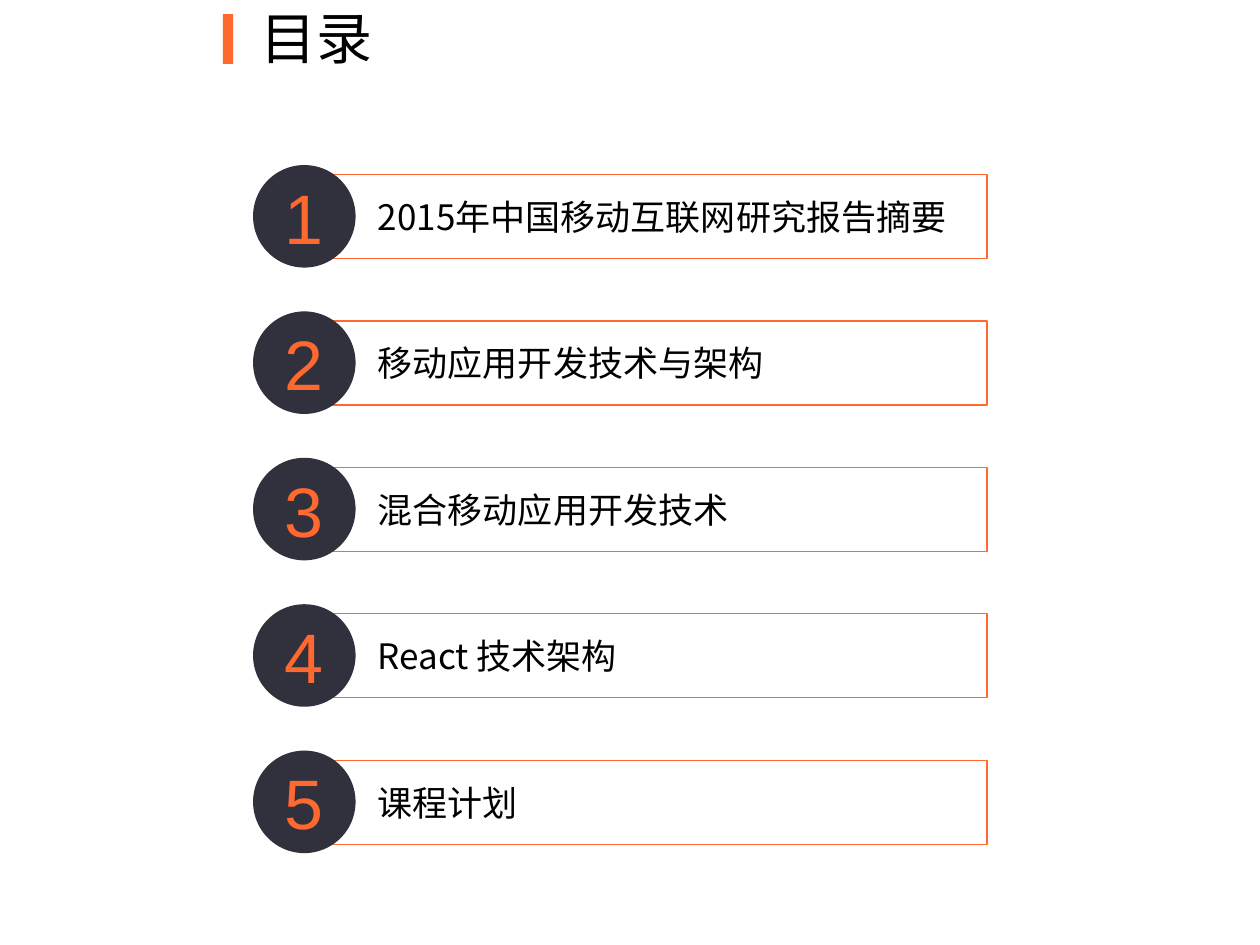
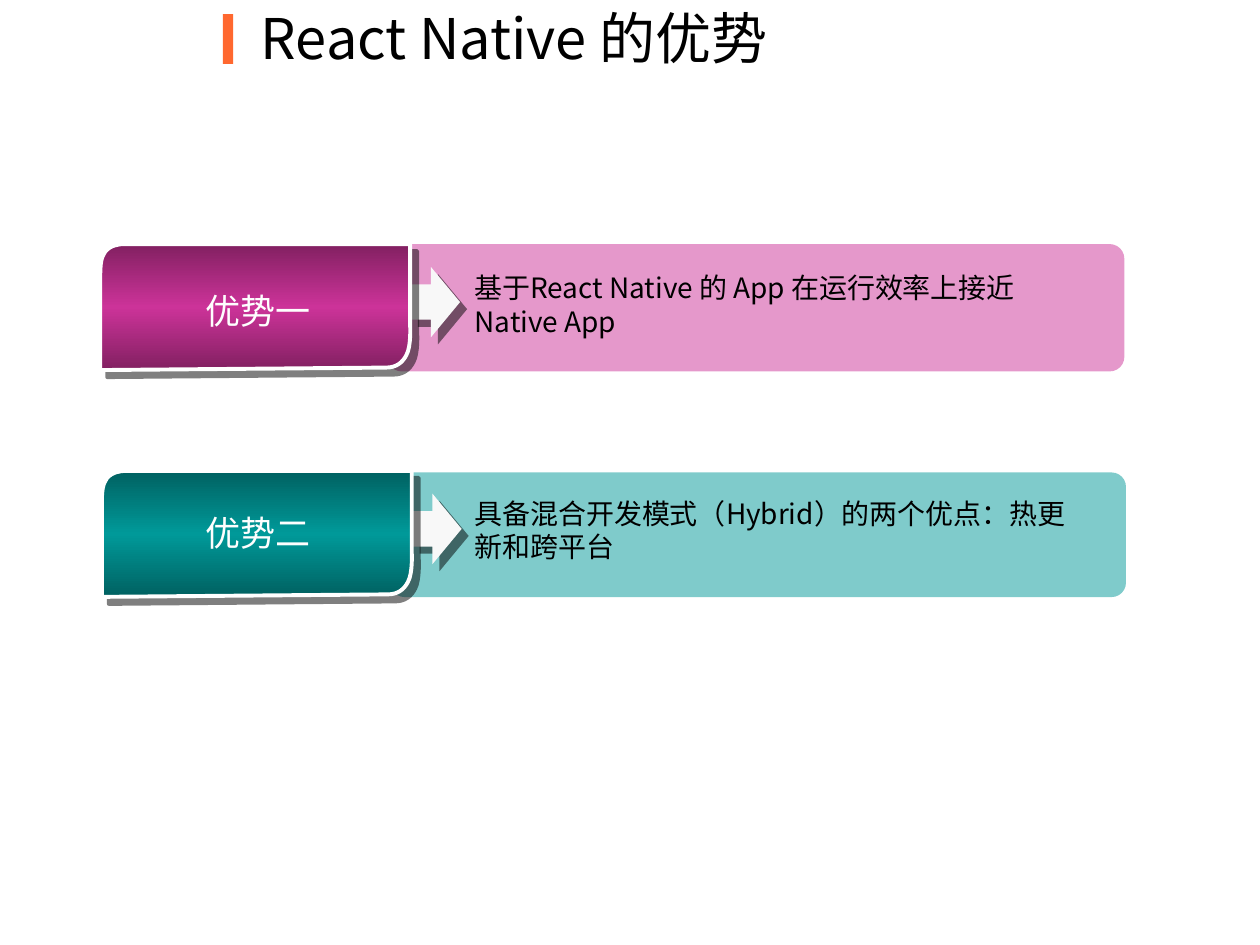
from copy import deepcopy

from lxml.etree import SubElement
from pptx import Presentation
from pptx.dml.color import RGBColor
from pptx.enum.shapes import MSO_SHAPE
from pptx.enum.text import MSO_ANCHOR, PP_ALIGN
from pptx.oxml.ns import qn
from pptx.util import Pt

ORANGE, DARK, BLACK, WHITE = "FF682F", "30313C", "000000", "FFFFFF"
CJK = "Noto Sans CJK SC"
color = RGBColor.from_string


def paint(shape, fill=None, opacity=100, line=None, line_width=0.75, shadow=None):
    """Set fill, outline and shadow; without a fill colour the fill stays as it is."""
    shape.shadow.inherit = False
    if fill:
        shape.fill.solid()
        shape.fill.fore_color.rgb = color(fill)
        if opacity < 100:
            srgb = shape._element.spPr.find(qn("a:solidFill"))[0]
            SubElement(srgb, qn("a:alpha"), val=str(opacity * 1000))
    if line:
        shape.line.color.rgb = color(line)
        shape.line.width = Pt(line_width)
    else:
        shape.line.fill.background()
    if shadow:
        effects = shape._element.spPr.find(qn("a:effectLst"))
        outer = SubElement(effects, qn("a:outerShdw"), blurRad="0", dist=str(Pt(5.7)),
                           dir="2700000", algn="ctr", rotWithShape="0")
        srgb = SubElement(outer, qn("a:srgbClr"), val=shadow)
        SubElement(srgb, qn("a:alpha"), val="50000")


def write(shape, text, size, ink=BLACK, font=CJK, align=PP_ALIGN.LEFT,
          anchor=MSO_ANCHOR.TOP):
    frame = shape.text_frame
    frame.text = text
    frame.word_wrap = True
    frame.vertical_anchor = anchor
    paragraph = frame.paragraphs[0]
    paragraph.alignment = align
    run = paragraph.runs[0]
    run.font.size = Pt(size)
    run.font.name = font
    run.font.color.rgb = color(ink)
    SubElement(run._r.get_or_add_rPr(), qn("a:ea"), typeface=font)


deck = Presentation()
deck.slide_width, deck.slide_height = Pt(720), Pt(540)

# Title and orange marker on every slide
for title, title_width in (("目录", 108), ("React Native 的优势", 541.4)):
    slide = deck.slides.add_slide(deck.slide_layouts[6])
    marker = slide.shapes.add_shape(MSO_SHAPE.RECTANGLE, Pt(127.4), Pt(8.1), Pt(5.8), Pt(28.4))
    paint(marker, ORANGE)
    heading = slide.shapes.add_textbox(Pt(142), Pt(-1.5), Pt(title_width), Pt(46))
    write(heading, title, 32)

contents, advantages = (slide.shapes for slide in deck.slides)

# Contents: a numbered disc over each chapter box
chapters = ("2015年中国移动互联网研究报告摘要", "移动应用开发技术与架构",
            "混合移动应用开发技术", "React 技术架构", "课程计划")
for number, chapter in enumerate(chapters, 1):
    top = 94.3 + (number - 1) * 83.65
    entry = contents.add_group_shape().shapes
    box = entry.add_shape(MSO_SHAPE.RECTANGLE, Pt(159.6), Pt(top + 5.5), Pt(404.4), Pt(48))
    paint(box, WHITE, opacity=40, line=ORANGE)
    write(box, chapter, 20, anchor=MSO_ANCHOR.MIDDLE)
    box.text_frame.paragraphs[0].line_spacing = 0.9
    box.text_frame.margin_left, box.text_frame.margin_right = Pt(56.3), Pt(5.8)
    box.text_frame.margin_top, box.text_frame.margin_bottom = Pt(8.6), Pt(5.8)

    disc = entry.add_shape(MSO_SHAPE.OVAL, Pt(144.6), Pt(top), Pt(58.6), Pt(58.6))
    paint(disc, DARK)
    write(disc, str(number), 40, ORANGE, "Arial", PP_ALIGN.CENTER, MSO_ANCHOR.MIDDLE)

# Advantages: outline of a tab as Bézier curves (control, control, end), from its top left
TAB_START = (13.7, 0)
TAB_CURVES = (
    ((13.7, 0), (177.1, 0), (177.1, 0)),
    ((177.1, 0), (177.1, 23.3), (177.1, 46.6)),
    ((177.1, 46.6), (177.8, 58.3), (175, 63.4)),
    ((172.8, 67.7), (169.2, 70.6), (163.4, 70.6)),
    ((80.6, 71.3), (0, 72), (0, 72)),
    ((0, 72), (0, 20.9), (0, 20.9)),
    ((0, 9.4), (0.7, 7.9), (2.9, 4.3)),
    ((5.8, 0.7), (10.8, 0), TAB_START),
)

# label, description, hue, shade, tab left and top, panel box, label top, description top
rows = (
    ("优势一", "基于React Native 的 App 在运行效率上接近Native App", "CC3399", "822061",
     (57.3, 139.5), (221.3, 139.5, 421.2, 72.8), 162, 151.2),
    ("优势二", "具备混合开发模式（Hybrid）的两个优点：热更新和跨平台", "009999", "006161",
     (58.2, 269.1), (223, 270, 420.4, 71.2), 288.7, 280.1),
)
for label, description, hue, shade, (left, top), panel_box, label_top, description_top in rows:
    row = advantages.add_group_shape().shapes
    panel = row.add_shape(MSO_SHAPE.ROUNDED_RECTANGLE, *map(Pt, panel_box))
    panel.adjustments[0] = 0.115
    paint(panel, hue, opacity=50)

    arrow = row.add_shape(MSO_SHAPE.RIGHT_ARROW, Pt(left + 177.5), Pt(top + 13),
                          Pt(28.1), Pt(40.3))
    arrow.adjustments[0], arrow.adjustments[1] = 0.5, 0.594
    paint(arrow, "F8F8F8", shadow="010101")

    builder = row.build_freeform(Pt(left + TAB_START[0]), Pt(top + TAB_START[1]))
    builder.add_line_segments([(Pt(left + x), Pt(top + y)) for *_, (x, y) in TAB_CURVES])
    tab = builder.convert_to_shape()
    # Each straight segment becomes the curve that ends at the same point
    outline = next(tab._element.spPr.iter(qn("a:path")))
    for segment, curve in zip(outline.findall(qn("a:lnTo")), TAB_CURVES):
        bezier = SubElement(outline, qn("a:cubicBezTo"))
        for x, y in curve:
            SubElement(bezier, qn("a:pt"), x=str(Pt(x)), y=str(Pt(y)))
        outline.replace(segment, bezier)
    tab.fill.gradient()
    tab.fill.gradient_angle = 90
    stop_list = tab._element.spPr.find(qn("a:gradFill")).find(qn("a:gsLst"))
    stop_list.append(deepcopy(stop_list[-1]))
    for stop, position, tint in zip(tab.fill.gradient_stops, (0, 0.5, 1), (shade, hue, shade)):
        stop.position = position
        stop.color.rgb = color(tint)
    paint(tab, line=WHITE, line_width=2.25, shadow=BLACK)

    caption = row.add_textbox(Pt(75), Pt(label_top), Pt(144.7), Pt(31))
    write(caption, label, 20, "FEFEFE", align=PP_ALIGN.CENTER)
    detail = row.add_textbox(Pt(264.2), Pt(description_top), Pt(362.9), Pt(46))
    write(detail, description, 16)

deck.save("out.pptx")
